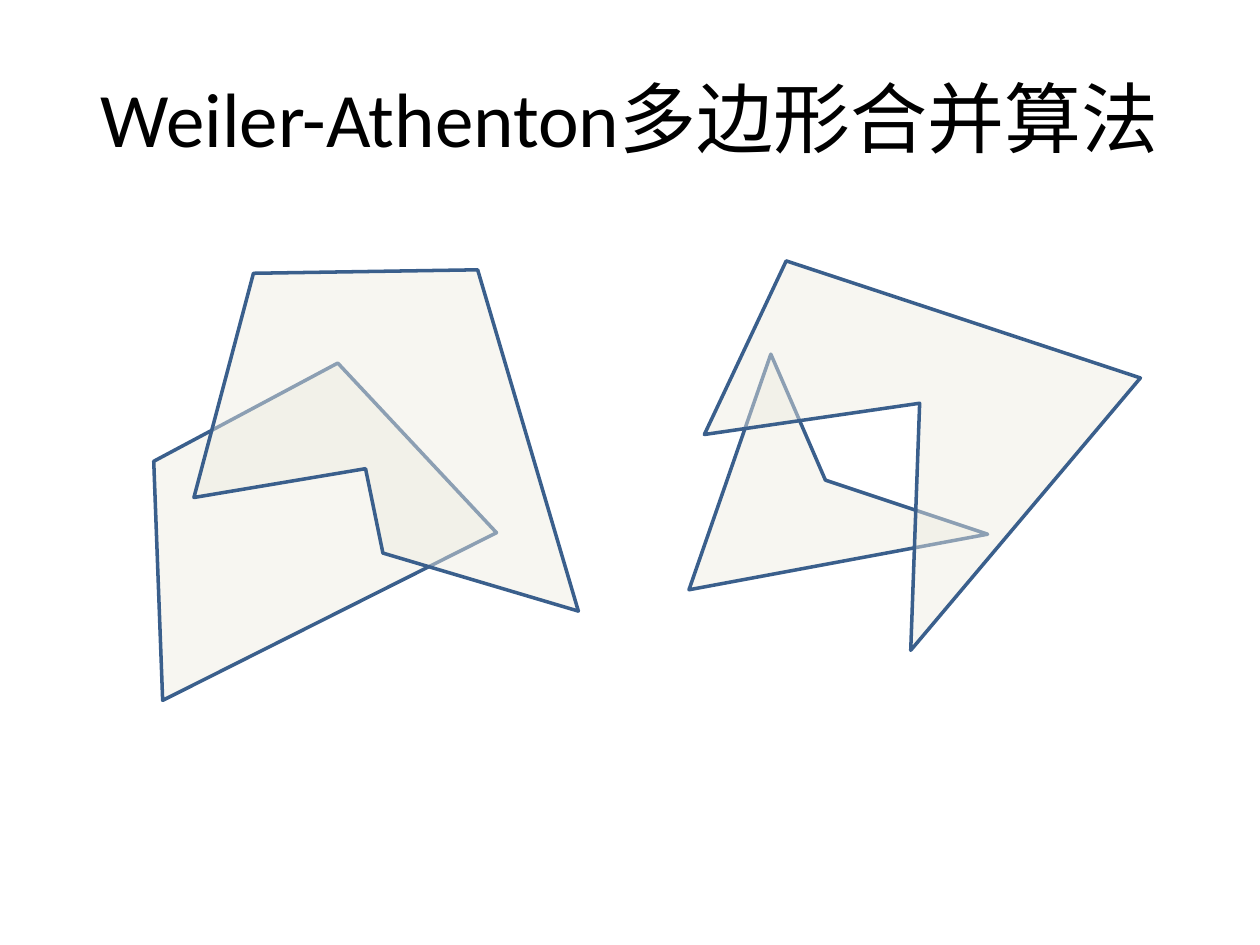
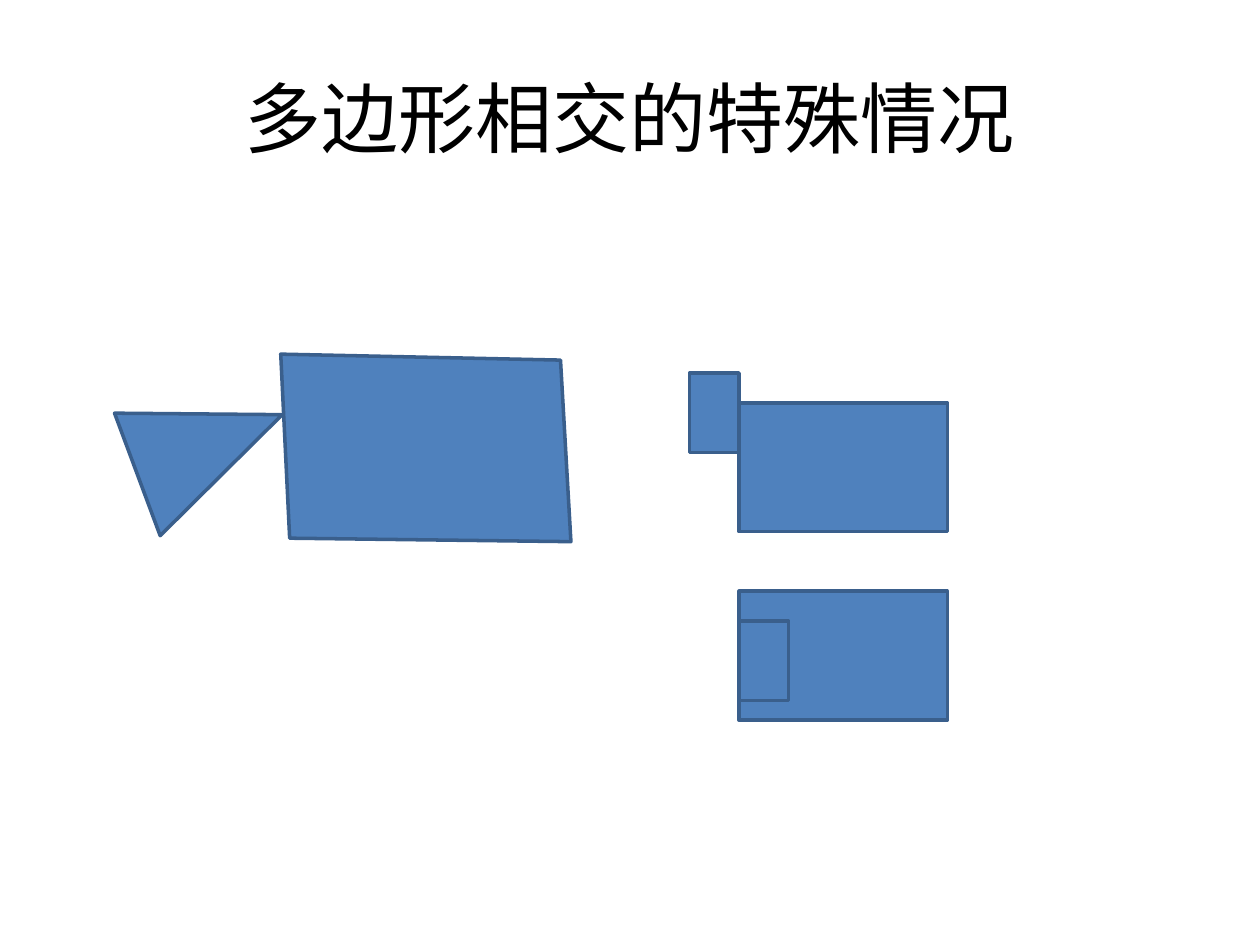
from dataclasses import dataclass

from lxml import etree
from pptx import Presentation
from pptx.dml.color import RGBColor
from pptx.enum.shapes import MSO_SHAPE
from pptx.enum.text import MSO_ANCHOR, PP_ALIGN
from pptx.oxml.ns import qn
from pptx.util import Cm, Pt

RECT = MSO_SHAPE.RECTANGLE
MIDDLE = MSO_ANCHOR.MIDDLE
CENTER = PP_ALIGN.CENTER


@dataclass(frozen=True)
class Theme:
    """Colours, font and sizes shared by all slides."""

    ink: str = "000000"
    blue: str = "4F81BD"
    edge: str = "3A5F8C"
    cream: str = "EEECE1"
    font: str = "Calibri"
    title: int = 44
    line: int = 2
    alpha: int = 46


class Deck:
    """Draws styled elements on the current slide."""

    def __init__(self, theme):
        """Open an empty 4:3 deck."""
        self.theme = theme
        self.prs = Presentation()
        self.prs.slide_width, self.prs.slide_height = Cm(25.4), Cm(19.05)
        self.slide = None

    def page(self, title):
        """Start a slide with its title."""
        self.slide = self.prs.slides.add_slide(self.prs.slide_layouts[6])
        box = self.slide.shapes.add_textbox(Cm(1.27), Cm(0.76), Cm(22.86), Cm(3.18))
        frame = box.text_frame
        frame.text = title
        frame.word_wrap = True
        frame.vertical_anchor = MIDDLE
        para = frame.paragraphs[0]
        para.alignment = CENTER
        font = para.runs[0].font
        font.name = self.theme.font
        font.size = Pt(self.theme.title)
        font.color.rgb = RGBColor.from_string(self.theme.ink)

    def paint(self, shape, fill, alpha=100):
        """Apply fill, opacity in percent and outline."""
        shape.shadow.inherit = False
        shape.fill.solid()
        shape.fill.fore_color.rgb = RGBColor.from_string(fill)
        if alpha < 100:
            color = shape.element.find(".//" + qn("a:srgbClr"))
            etree.SubElement(color, qn("a:alpha"), val=str(alpha * 1000))
        shape.line.color.rgb = RGBColor.from_string(self.theme.edge)
        shape.line.width = Pt(self.theme.line)

    def poly(self, points, fill, alpha=100):
        """Draw a closed polygon through points in centimetres."""
        start, *rest = [(Cm(x), Cm(y)) for x, y in points]
        path = self.slide.shapes.build_freeform(*start)
        path.add_line_segments(rest, close=True)
        self.paint(path.convert_to_shape(), fill, alpha)

    def rect(self, left, top, width, height):
        """Draw a blue rectangle given in centimetres."""
        sides = [Cm(n) for n in (left, top, width, height)]
        self.paint(self.slide.shapes.add_shape(RECT, *sides), self.theme.blue)


def merge(deck):
    """Build the slide of overlapping polygons."""
    deck.page("Weiler-Athenton多边形合并算法")
    kite = [(3.1, 9.3), (6.81, 7.32), (10.01, 10.74), (3.28, 14.12)]
    hook = [(5.11, 5.51), (3.91, 10.03), (7.37, 9.45), (7.72, 11.15),
            (11.66, 12.32), (9.63, 5.44)]
    dart = [(15.54, 7.14), (16.64, 9.68), (19.91, 10.77), (13.89, 11.89)]
    wing = [(14.2, 8.76), (18.54, 8.13), (18.36, 13.11), (22.99, 7.62),
            (15.85, 5.26)]
    for points in (kite, hook, dart, wing):
        deck.poly(points, deck.theme.cream, deck.theme.alpha)


def touch(deck):
    """Build the slide of polygons that touch at a corner or an edge."""
    deck.page("多边形相交的特殊情况")
    quad = [(5.66, 7.14), (5.84, 10.85), (11.51, 10.92), (11.3, 7.26)]
    corner = [(2.31, 8.33), (5.69, 8.36), (3.23, 10.8)]
    for points in (quad, corner):
        deck.poly(points, deck.theme.blue)
    left = 14.9
    for top, right, down in ((8.12, -1, -0.6), (11.92, 0, 0.6)):
        deck.rect(left, top, 4.2, 2.6)
        deck.rect(left + right, top + down, 1, 1.6)


def main():
    """Build and save the deck."""
    deck = Deck(Theme())
    merge(deck)
    touch(deck)
    deck.prs.save("out.pptx")


main()
